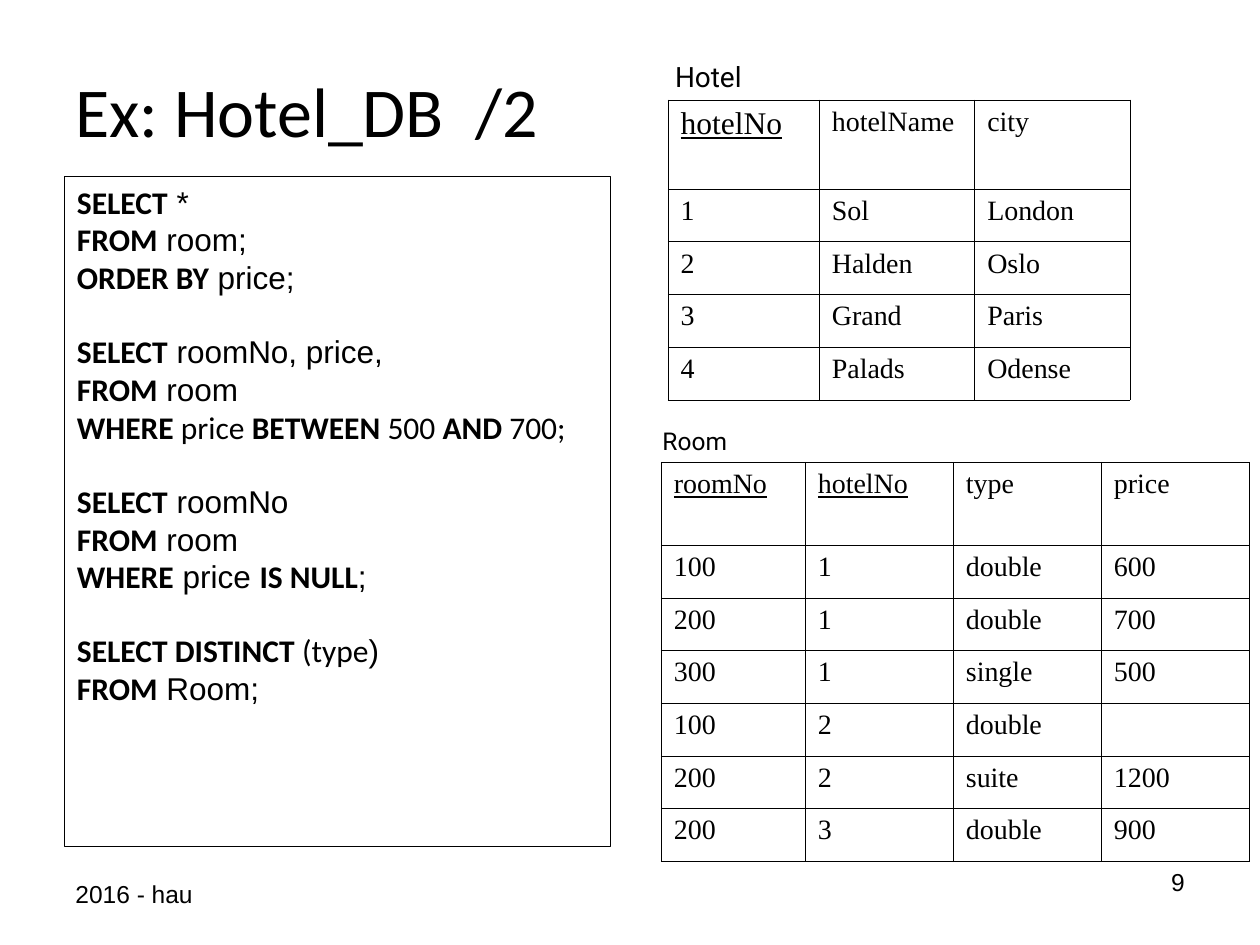
"""Build the Hotel_DB query exercise slide."""
from lxml import etree
from pptx import Presentation
from pptx.dml.color import RGBColor
from pptx.enum import shapes, text
from pptx.oxml import ns
from pptx.util import Pt

BLACK = RGBColor(0, 0, 0)
SERIF = "Times New Roman"
KEY = ("Calibri", True)
SOFT = ("Calibri", False)
PLAIN = ("Arial", False)
ROW = 30.12

ROOM = [("FROM", KEY), (" room", PLAIN)]
QUERIES = [
    [
        [("SELECT", KEY), (" *", PLAIN)],
        [("FROM", KEY), (" room;", PLAIN)],
        [("ORDER BY", KEY), (" price;", PLAIN)],
    ],
    [
        [("SELECT", KEY), (" roomNo, price,", PLAIN)],
        ROOM,
        [("WHERE", KEY), (" price ", SOFT), ("BETWEEN", KEY),
         (" 500 ", SOFT), ("AND", KEY), (" 700;", SOFT)],
    ],
    [
        [("SELECT", KEY), (" roomNo", PLAIN)],
        ROOM,
        [("WHERE", KEY), (" price ", PLAIN), ("IS NULL", KEY), (";", PLAIN)],
    ],
    [
        [("SELECT DISTINCT ", KEY), ("(type", SOFT), (")", PLAIN)],
        [("FROM", KEY), (" Room;", PLAIN)],
    ],
]

HOTELS = [
    ["hotelNo", "hotelName", "city"],
    ["1", "Sol", "London"],
    ["2", "Halden", "Oslo"],
    ["3", "Grand", "Paris"],
    ["4", "Palads", "Odense"],
]
ROOMS = [
    ["roomNo", "hotelNo", "type", "price"],
    ["100", "1", "double", "600"],
    ["200", "1", "double", "700"],
    ["300", "1", "single", "500"],
    ["100", "2", "double", ""],
    ["200", "2", "suite", "1200"],
    ["200", "3", "double", "900"],
]


def add_run(para, words, size, face, bold=False, under=False):
    """Append one black run to a paragraph."""
    run = para.add_run()
    run.text = words
    font = run.font
    font.size, font.name = Pt(size), face
    font.bold, font.underline = bold, under
    font.color.rgb = BLACK
    return run


def add_label(slide, box, words, size, face, wrap=True, high=False):
    """Add a one-line text box and return its paragraph."""
    frame = slide.shapes.add_textbox(*map(Pt, box)).text_frame
    frame.word_wrap = wrap
    anchor = text.MSO_ANCHOR
    frame.vertical_anchor = anchor.TOP if high else anchor.MIDDLE
    para = frame.paragraphs[0]
    add_run(para, words, size, face)
    return para


def add_title(slide):
    """Add the title, with a widened space before the part number."""
    para = add_label(slide, (36, 33.84, 648, 57.6), "Ex: Hotel_DB", 40, "Calibri")
    gap = add_run(para, " ", 40, "Calibri")
    gap._r.get_or_add_rPr().set("spc", "900")
    add_run(para, "/2", 40, "Calibri")


def add_code(slide):
    """Add the framed queries, separated by paragraph spacing."""
    box = slide.shapes.add_shape(
        shapes.MSO_SHAPE.RECTANGLE, Pt(36.9), Pt(100.8), Pt(311.8), Pt(383))
    box.shadow.inherit = False
    box.fill.background()
    box.line.color.rgb = BLACK
    box.line.width = Pt(0.75)
    frame = box.text_frame
    frame.word_wrap = True
    frame.vertical_anchor = text.MSO_ANCHOR.TOP
    para = frame.paragraphs[0]
    for part, query in enumerate(QUERIES):
        for row, line in enumerate(query):
            if part or row:
                para = frame.add_paragraph()
            para.alignment = text.PP_ALIGN.LEFT
            prop = para._p.get_or_add_pPr()
            prop.set("marL", str(Pt(27)))
            prop.set("indent", str(Pt(-27)))
            if part and not row:
                para.space_before = Pt(20.7)
            for words, (face, bold) in line:
                add_run(para, words, 18, face, bold)


def add_edges(cell):
    """Draw a thin black line on every side of a cell."""
    prop = cell._tc.get_or_add_tcPr()
    for side in ("a:lnL", "a:lnR", "a:lnT", "a:lnB"):
        line = etree.SubElement(prop, ns.qn(side), w=str(Pt(0.45)))
        fill = etree.SubElement(line, ns.qn("a:solidFill"))
        etree.SubElement(fill, ns.qn("a:srgbClr"), val=str(BLACK))


def add_grid(slide, left, top, wide, head, data, keys, first=16):
    """Add a ruled table whose leading header names are underlined keys."""
    high = head + ROW * (len(data) - 1)
    table = slide.shapes.add_table(
        len(data), len(wide), Pt(left), Pt(top), Pt(sum(wide)), Pt(high)).table
    table.first_row = table.horz_banding = False
    for col, width in zip(table.columns, wide):
        col.width = Pt(width)
    for r, values in enumerate(data):
        table.rows[r].height = Pt(ROW if r else head)
        for c, value in enumerate(values):
            cell = table.cell(r, c)
            add_edges(cell)
            cell.fill.background()
            if value:
                size = 16 if r or c else first
                add_run(cell.text_frame.paragraphs[0], value, size, SERIF,
                        under=r == 0 and c < keys)


def main():
    """Build and save the slide."""
    deck = Presentation()
    deck.slide_width, deck.slide_height = Pt(720), Pt(540)
    slide = deck.slides.add_slide(deck.slide_layouts[6])
    add_label(slide, (36, 491.8, 168, 37.4), "2016 - hau", 14, "Arial")
    page = add_label(slide, (516, 491.8, 168, 37.4), "9", 14, "Arial", high=True)
    page.alignment = text.PP_ALIGN.RIGHT
    add_title(slide)
    add_label(slide, (378.7, 30.2, 54.7, 26.6), "Hotel", 16, "Roboto", wrap=False)
    add_grid(slide, 381.8, 57.1, (86.4, 88.8, 88.8), 51, HOTELS, 1, 18)
    add_label(slide, (371.5, 239.8, 53.3, 24.5), "Room", 14, "Roboto", wrap=False)
    add_grid(slide, 377.9, 264.2, (82.3, 84.6, 84.6, 84.6), 47.4, ROOMS, 2)
    add_code(slide)
    deck.save("out.pptx")


if __name__ == "__main__":
    main()
